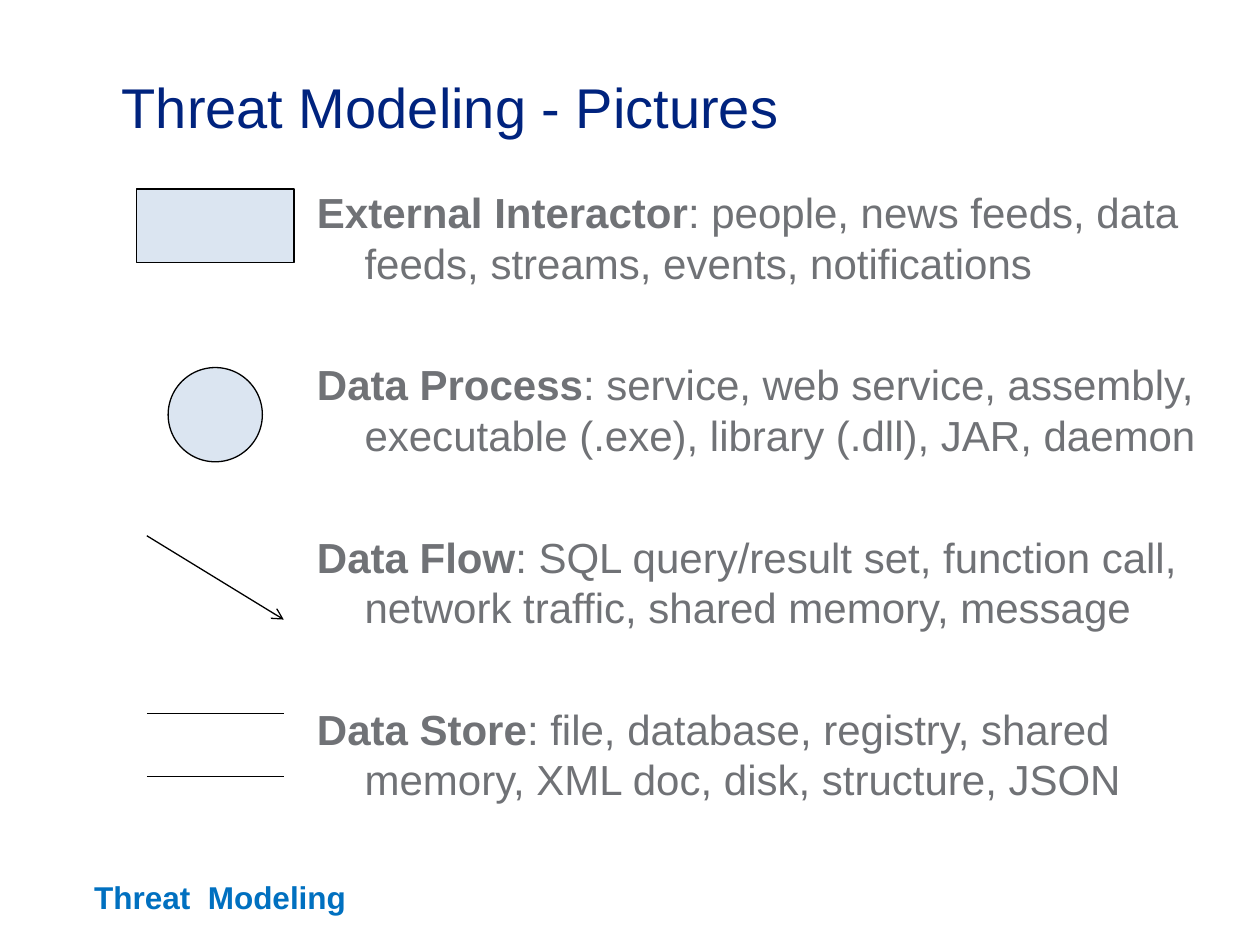
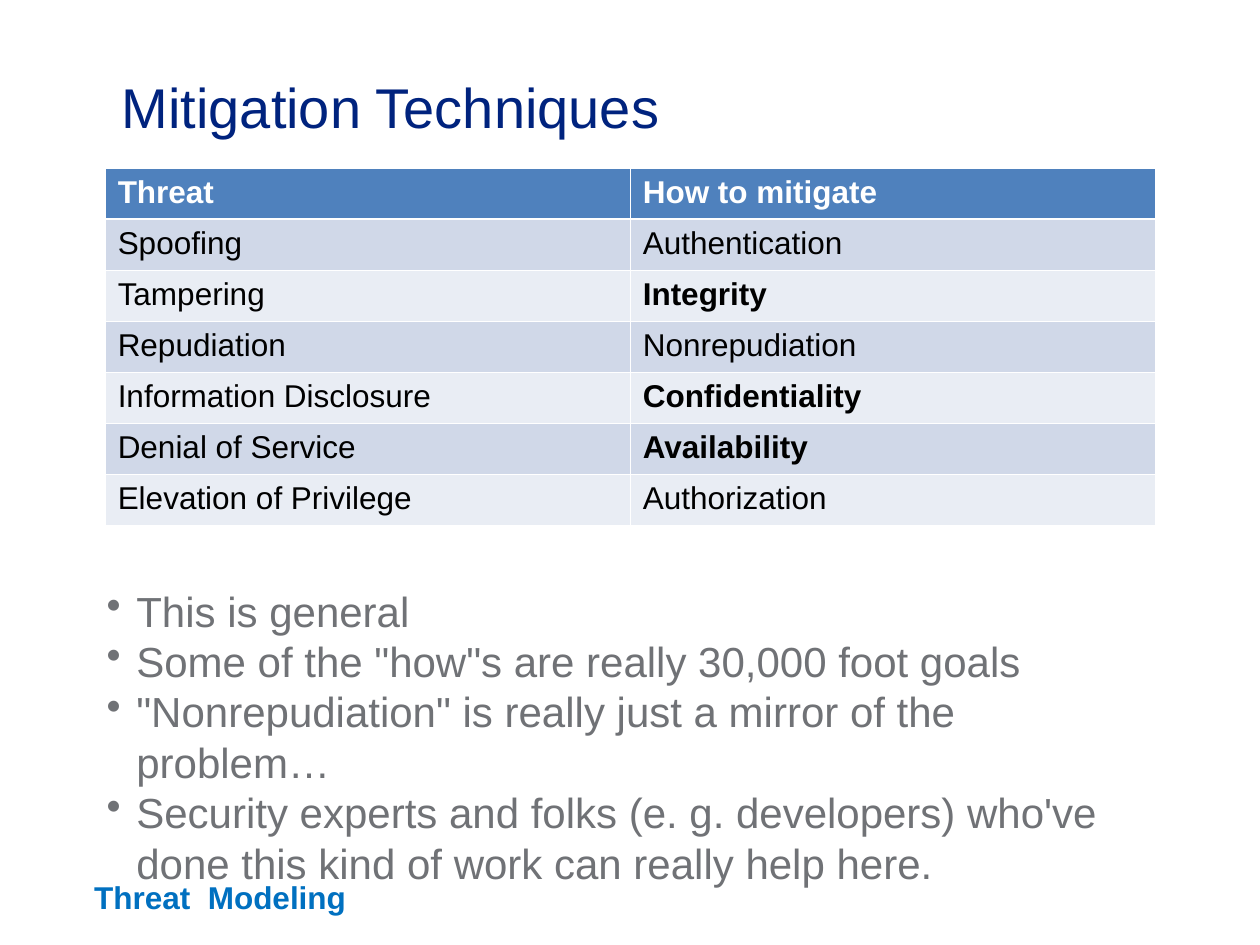
import dataclasses

import lxml.etree
import pptx
import pptx.dml.color
import pptx.enum.shapes
import pptx.enum.text
import pptx.oxml.ns
import pptx.util

Cm = pptx.util.Cm
Pt = pptx.util.Pt
qn = pptx.oxml.ns.qn
SHAPES = pptx.enum.shapes.MSO_SHAPE
ALIGN = pptx.enum.text.PP_ALIGN


@dataclasses.dataclass(frozen=True)
class Theme:
    font: str = "Arial"
    title: str = "00237E"
    body: str = "707276"
    footer: str = "0070C0"
    symbol: str = "B9CDE5"
    ink: str = "000000"
    paper: str = "FFFFFF"
    header: str = "4F81BD"
    bands: tuple = ("D0D8E8", "E9EDF4")
    title_size: int = 32
    body_size: int = 24
    small_size: int = 18
    leading: float = 1.2
    line_width: float = 0.75
    border_width: float = 0.45
    header_border_width: float = 1.47


THEME = Theme()

SYMBOL_TEXTS = [
    ("External Interactor", ": people, news feeds, data feeds, streams, events, notifications"),
    ("Data Process", ": service, web service, assembly, executable (.exe), library (.dll), JAR, daemon"),
    ("Data Flow", ": SQL query/result set, function call, network traffic, shared memory, message"),
    ("Data Store", ": file, database, registry, shared memory, XML doc, disk, structure, JSON"),
]

MITIGATIONS = [
    ("Threat", "How to mitigate"),
    ("Spoofing", "Authentication"),
    ("Tampering", "Integrity"),
    ("Repudiation", "Nonrepudiation"),
    ("Information Disclosure", "Confidentiality"),
    ("Denial of Service", "Availability"),
    ("Elevation of Privilege", "Authorization"),
]
SECURITY_GOALS = {"Confidentiality", "Integrity", "Availability"}

REMARKS = [
    "This is general",
    "Some of the \"how\"s are really 30,000 foot goals",
    "\"Nonrepudiation\" is really just a mirror of the problem…",
    "Security experts and folks (e. g. developers) who've done this kind of work can really help here.",
]


def rgb(color):
    return pptx.dml.color.RGBColor.from_string(color)


def add_run(paragraph, text, size, color, bold=False):
    run = paragraph.add_run()
    run.text = text
    run.font.name = THEME.font
    run.font.size = Pt(size)
    run.font.color.rgb = rgb(color)
    run.font.bold = bold


def set_spacing(paragraph, size, before=0):
    paragraph.line_spacing = Pt(size * THEME.leading)
    paragraph.space_before = Pt(before)


def set_hanging_indent(paragraph, indent, bullet=None):
    properties = paragraph._p.get_or_add_pPr()
    properties.set("marL", str(indent))
    properties.set("indent", str(-indent))
    if bullet:
        lxml.etree.SubElement(properties, qn("a:buChar")).set("char", bullet)


def add_text_box(slide, left, top, width, height):
    box = slide.shapes.add_textbox(Cm(left), Cm(top), Cm(width), Cm(height))
    box.text_frame.word_wrap = True
    return box


def next_paragraph(frame, index):
    return frame.add_paragraph() if index else frame.paragraphs[0]


def add_titled_slide(presentation, layout, title):
    slide = presentation.slides.add_slide(layout)
    placeholder = slide.shapes.title
    placeholder.left, placeholder.top = Cm(2.2), Cm(1.33)
    placeholder.width, placeholder.height = Cm(23.2), Cm(2.03)
    frame = placeholder.text_frame
    frame.auto_size = pptx.enum.text.MSO_AUTO_SIZE.NONE
    frame.vertical_anchor = pptx.enum.text.MSO_ANCHOR.TOP
    paragraph = frame.paragraphs[0]
    paragraph.alignment = ALIGN.LEFT
    set_spacing(paragraph, THEME.title_size)
    add_run(paragraph, title, THEME.title_size, THEME.title)
    return slide


def move_footer_to_layout(slide, layout):
    """Build the footer on a slide, then hand it to the layout all slides share."""
    footer = add_text_box(slide, 1.48, 17.58, 5.92, 1.02)
    paragraph = footer.text_frame.paragraphs[0]
    paragraph.alignment = ALIGN.CENTER
    set_spacing(paragraph, THEME.small_size)
    add_run(paragraph, "Threat  Modeling", THEME.small_size, THEME.footer, bold=True)
    footer.element.nvSpPr.cNvPr.set("id", "20")
    layout.shapes.element.append(footer.element)


def add_symbol(slide, kind, left, top, width, height):
    shape = slide.shapes.add_shape(kind, Cm(left), Cm(top), Cm(width), Cm(height))
    shape.shadow.inherit = False
    shape.fill.solid()
    shape.fill.fore_color.rgb = rgb(THEME.symbol)
    color = shape.element.spPr.find(qn("a:solidFill"))[0]
    lxml.etree.SubElement(color, qn("a:alpha")).set("val", "50000")
    shape.line.color.rgb = rgb(THEME.ink)
    shape.line.width = Pt(THEME.line_width)


def add_line(slide, top, bottom, arrow=False):
    """Draw a line across the symbol column, from top at left to bottom at right."""
    line = slide.shapes.add_connector(
        pptx.enum.shapes.MSO_CONNECTOR.STRAIGHT, Cm(2.96), Cm(top), Cm(5.72), Cm(bottom))
    line.line.color.rgb = rgb(THEME.ink)
    line.line.width = Pt(THEME.line_width)
    if arrow:
        outline = line.line._get_or_add_ln()
        lxml.etree.SubElement(outline, qn("a:tailEnd")).set("type", "arrow")
    lxml.etree.SubElement(line._element.spPr, qn("a:effectLst"))


def add_symbol_texts(slide):
    frame = add_text_box(slide, 6.14, 3.64, 18.47, 12.7).text_frame
    for index, (name, examples) in enumerate(SYMBOL_TEXTS):
        paragraph = next_paragraph(frame, index)
        set_hanging_indent(paragraph, Cm(0.96))
        set_spacing(paragraph, THEME.body_size, before=40.8 if index else 0)
        add_run(paragraph, name, THEME.body_size, THEME.body, bold=True)
        add_run(paragraph, examples, THEME.body_size, THEME.body)


def add_remarks(slide):
    frame = add_text_box(slide, 1.9, 11.67, 21.6, 5.34).text_frame
    for index, remark in enumerate(REMARKS):
        paragraph = next_paragraph(frame, index)
        set_hanging_indent(paragraph, Cm(0.6), bullet="•")
        set_spacing(paragraph, THEME.body_size)
        add_run(paragraph, remark, THEME.body_size, THEME.body)


def set_borders(cell, widths):
    """Set white borders; widths gives points for left, right, top and bottom."""
    properties = cell._tc.get_or_add_tcPr()
    for position, (side, width) in enumerate(zip("LRTB", widths)):
        border = lxml.etree.Element(qn(f"a:ln{side}"), w=str(Pt(width)))
        fill = lxml.etree.SubElement(border, qn("a:solidFill"))
        lxml.etree.SubElement(fill, qn("a:srgbClr")).set("val", THEME.paper)
        properties.insert(position, border)


def add_mitigation_table(slide):
    row_count = len(MITIGATIONS)
    table = slide.shapes.add_table(
        row_count, 2, Cm(2.12), Cm(3.39), Cm(21.17), Cm(1.03 * row_count)).table
    thin, thick = THEME.border_width, THEME.header_border_width
    for row, texts in enumerate(MITIGATIONS):
        is_header = row == 0
        widths = (thin, thin, thick if row == 1 else thin, thick if is_header else thin)
        for column, text in enumerate(texts):
            cell = table.cell(row, column)
            cell.fill.solid()
            cell.fill.fore_color.rgb = rgb(THEME.header if is_header else THEME.bands[(row - 1) % 2])
            set_borders(cell, widths)
            add_run(cell.text_frame.paragraphs[0], text, THEME.small_size,
                    THEME.paper if is_header else THEME.ink,
                    bold=is_header or text in SECURITY_GOALS)


def main():
    presentation = pptx.Presentation()
    presentation.slide_width, presentation.slide_height = Cm(25.4), Cm(19.05)
    layout = presentation.slide_layouts.get_by_name("Title Only")

    pictures = add_titled_slide(presentation, layout, "Threat Modeling - Pictures")
    move_footer_to_layout(pictures, layout)
    add_symbol_texts(pictures)
    add_symbol(pictures, SHAPES.RECTANGLE, 2.75, 3.81, 3.18, 1.48)
    add_symbol(pictures, SHAPES.OVAL, 3.39, 7.41, 1.9, 1.9)
    add_line(pictures, 10.8, 12.49, arrow=True)
    for store_edge in (14.39, 15.66):
        add_line(pictures, store_edge, store_edge)

    mitigation = add_titled_slide(presentation, layout, "Mitigation Techniques")
    add_mitigation_table(mitigation)
    add_remarks(mitigation)

    presentation.save("out.pptx")


if __name__ == "__main__":
    main()
